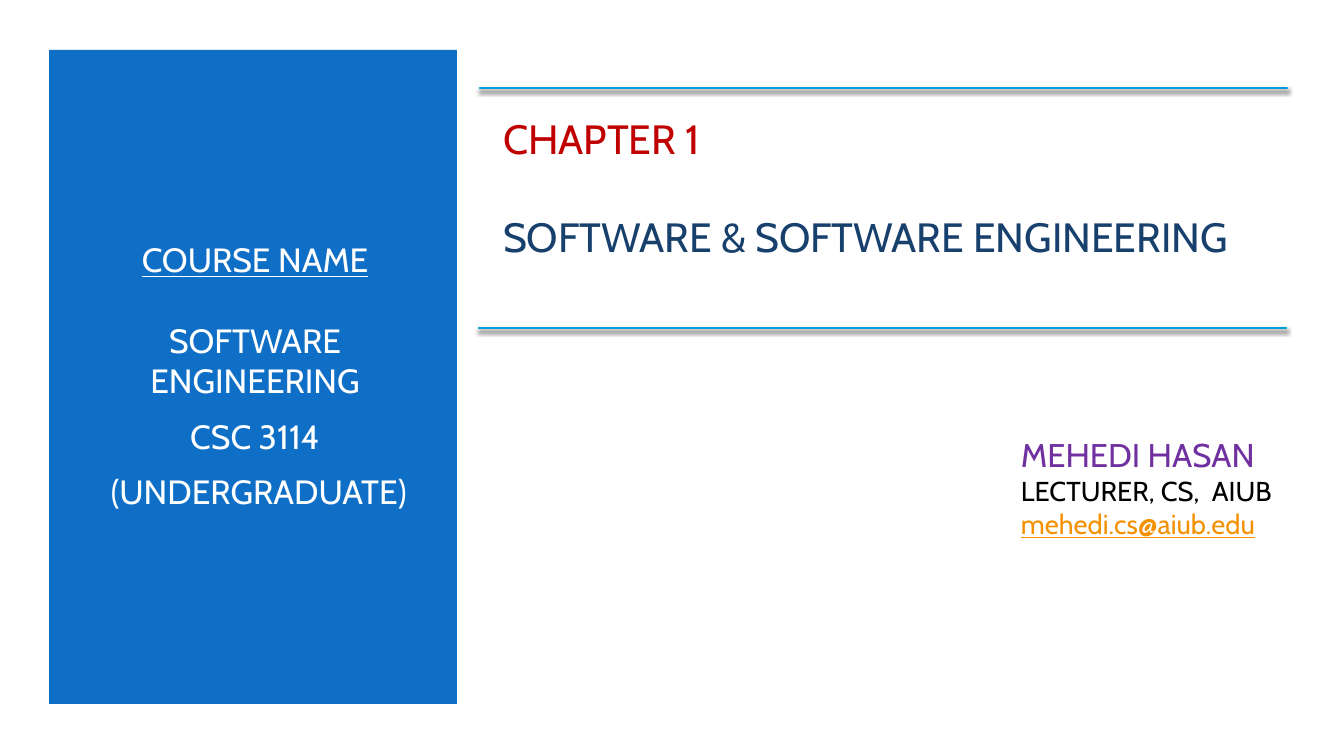
from copy import deepcopy

from lxml.etree import SubElement
from pptx import Presentation
from pptx.dml.color import RGBColor
from pptx.enum.shapes import MSO_CONNECTOR as Connector, MSO_SHAPE as Shape
from pptx.enum.text import MSO_ANCHOR as Anchor, MSO_AUTO_SIZE as AutoSize, PP_ALIGN as Align
from pptx.oxml.ns import qn
from pptx.util import Pt

WHITE = RGBColor(0xFF, 0xFF, 0xFF)
BLACK = RGBColor(0x00, 0x00, 0x00)
BLUE = RGBColor(0x0F, 0x6F, 0xC6)
NAVY = RGBColor(0x17, 0x40, 0x6D)
CYAN = RGBColor(0x00, 0x9D, 0xD9)
RED = RGBColor(0xC0, 0x00, 0x00)
PURPLE = RGBColor(0x70, 0x30, 0xA0)
ORANGE = RGBColor(0xF4, 0x91, 0x00)


def px(length):
    return round(length * 914400 / 100.8)


class CoverSlide:
    font = "Cabin"
    rule_width = Pt(2)

    def __init__(self, presentation):
        self.slide = presentation.slides.add_slide(presentation.slide_layouts[5])

    def background(self, color):
        fill = self.slide.background.fill
        fill.solid()
        fill.fore_color.rgb = color

    def panel(self, left, top, width, height, color):
        shape = self.slide.shapes.add_shape(
            Shape.RECTANGLE, px(left), px(top), px(width), px(height))
        shape.shadow.inherit = False
        shape.fill.solid()
        shape.fill.fore_color.rgb = color
        shape.line.fill.background()

    def title(self, left, top, width, height, text, size, color):
        shape = self.slide.shapes.title
        shape.left, shape.top = px(left), px(top)
        shape.width, shape.height = px(width), px(height)
        return self.set_lines(shape.text_frame, [(text, size, color)], Align.LEFT)

    def text(self, left, top, width, height, lines, align=Align.LEFT):
        shape = self.slide.shapes.add_textbox(px(left), px(top), px(width), px(height))
        return self.set_lines(shape.text_frame, lines, align)

    def set_lines(self, frame, lines, align):
        frame.word_wrap = True
        frame.auto_size = AutoSize.NONE
        frame.vertical_anchor = Anchor.MIDDLE
        frame.text = "\n".join(text for text, size, color in lines)
        for paragraph, (text, size, color) in zip(frame.paragraphs, lines):
            paragraph.alignment = align
            for run in paragraph.runs:
                run.font.name = self.font
                run.font.size = Pt(size)
                run.font.color.rgb = color
            for line_break in paragraph._p.findall(qn("a:br")):
                line_break.append(deepcopy(paragraph.runs[0].font._element))
        return frame.paragraphs

    def rule(self, left, top, width, color):
        line = self.slide.shapes.add_connector(
            Connector.STRAIGHT, px(left), px(top), px(left + width), px(top))
        line.line.color.rgb = color
        line.line.width = self.rule_width
        properties = line._element.spPr
        properties.find(qn("a:ln")).set("cap", "rnd")
        effects = SubElement(properties, qn("a:effectLst"))
        shadow = SubElement(effects, qn("a:outerShdw"), blurRad=str(Pt(3)),
                            dist=str(Pt(2)), dir="5400000", rotWithShape="0")
        shade = SubElement(shadow, qn("a:srgbClr"), val=str(BLACK))
        SubElement(shade, qn("a:alpha"), val="55000")


def main():
    presentation = Presentation()
    presentation.slide_width = px(1344)
    presentation.slide_height = px(756)
    cover = CoverSlide(presentation)

    cover.background(WHITE)
    cover.panel(49, 50, 408, 654, BLUE)

    course = cover.text(85, 111, 340, 529, [
        ("COURSE NAME\v\vSOFTWARE ENGINEERING", 24, WHITE),
        ("CSC 3114", 24, WHITE),
        (" (UNDERGRADUATE)", 24, WHITE),
    ], Align.CENTER)
    course[0].runs[0].font.underline = True
    for paragraph in course:
        paragraph.space_before = Pt(4.8)
        paragraph.space_after = Pt(6)

    chapter = cover.title(493, 111, 791, 152,
                          "CHAPTER 1\v\vSOFTWARE & SOFTWARE ENGINEERING", 29.2, RED)
    chapter[0].runs[-1].font.color.rgb = NAVY

    lecturer = cover.text(1011, 397, 315, 181, [
        ("MEHEDI HASAN", 23.4, PURPLE),
        ("LECTURER, CS,  AIUB", 19.5, BLACK),
        ("mehedi.cs@aiub.edu", 19.5, ORANGE),
    ])
    lecturer[-1].runs[0].font.underline = True

    for left, top in ((480, 88), (479, 328)):
        cover.rule(left, top, 807, CYAN)

    presentation.save("out.pptx")


if __name__ == "__main__":
    main()
